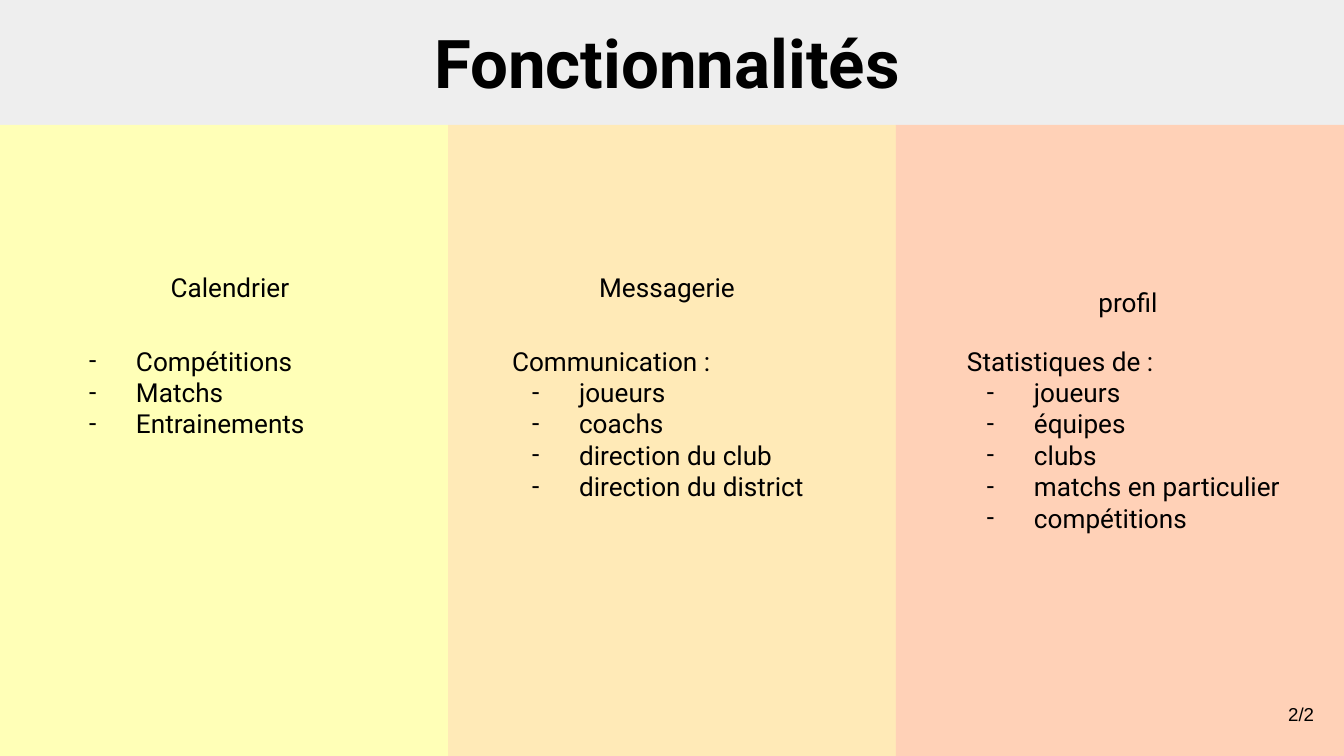
from dataclasses import dataclass
from lxml import etree
from pptx import Presentation
from pptx import util as u
from pptx.dml.color import RGBColor
from pptx.enum import shapes, text
from pptx.oxml.ns import qn


@dataclass(frozen=True)
class Theme:
    ink: str = "000000"
    header: str = "EEEEEE"
    columns: tuple = ("FFFFB7", "FFEAB7", "FFD1B7")
    font: str = "Roboto"
    number_font: str = "Arial"
    title_size: int = 36
    body_size: int = 14
    number_size: int = 10


theme = Theme()
WIDTH, HEIGHT, HEADER = 1344, 756, 125
INSET = 13


def px(length):
    return u.Emu(round(length * 914400 / 134.4))


def write(box, lines, at, size=theme.body_size, font=theme.font, bold=False,
          align=text.PP_ALIGN.LEFT, anchor=text.MSO_ANCHOR.TOP,
          fit=text.MSO_AUTO_SIZE.SHAPE_TO_FIT_TEXT):
    box.left, box.top, box.width, box.height = map(px, at)
    frame = box.text_frame
    frame.word_wrap = True
    frame.auto_size = fit
    frame.vertical_anchor = anchor
    frame.margin_left = frame.margin_right = px(INSET)
    frame.margin_top = frame.margin_bottom = px(INSET)
    for index, line in enumerate(lines):
        para = frame.add_paragraph() if index else frame.paragraphs[0]
        bulleted = line.startswith("- ")
        props = para._p.get_or_add_pPr()
        props.set("marL", str(px(67 if bulleted else 0)))
        props.set("indent", str(px(-47 if bulleted else 0)))
        if bulleted:
            color = etree.SubElement(props, qn("a:buClr"))
            etree.SubElement(color, qn("a:srgbClr"), val=theme.ink)
            etree.SubElement(props, qn("a:buFont"), typeface=font)
            etree.SubElement(props, qn("a:buChar"), char="-")
        else:
            etree.SubElement(props, qn("a:buNone"))
        para.alignment = align
        para.space_before = u.Pt(0)
        span = para.add_run()
        span.text = line.removeprefix("- ")
        span.font.name = font
        span.font.size = u.Pt(size)
        span.font.bold = bold
        span.font.color.rgb = RGBColor.from_string(theme.ink)


deck = Presentation()
deck.slide_width, deck.slide_height = px(WIDTH), px(HEIGHT)
page = deck.slides.add_slide(deck.slide_layouts.get_by_name("Comparison"))
title, *bodies = page.placeholders
spare = bodies.pop()
spare.element.getparent().remove(spare.element)

column_width = WIDTH // 3
panels = [(0, 0, WIDTH, HEADER, theme.header)]
for index, color in enumerate(theme.columns):
    panels.append((index * column_width, HEADER, column_width, HEIGHT - HEADER, color))

for layer, (left, top, width, height, color) in enumerate(panels):
    panel = page.shapes.add_shape(
        shapes.MSO_SHAPE.RECTANGLE, px(left), px(top), px(width), px(height))
    panel.shadow.inherit = False
    panel.fill.solid()
    panel.fill.fore_color.rgb = RGBColor.from_string(color)
    panel.line.fill.background()
    panel.element.getparent().insert(2 + layer, panel.element)

write(title, ["Fonctionnalités"], (-5, 8, WIDTH, 109), size=theme.title_size,
      bold=True, align=text.PP_ALIGN.CENTER)

features = [
    ("Calendrier", 90, 258, 56, 122,
     ["- Compétitions", "- Matchs", "- Entrainements"]),
    ("Messagerie", 527, 258, 499, 249,
     ["Communication :", "- joueurs", "- coachs", "- direction du club",
      "- direction du district"]),
    ("profil", 988, 273, 954, 249,
     ["Statistiques de :", "- joueurs", "- équipes", "- clubs",
      "- matchs en particulier", "- compétitions"]),
]
for body, (name, name_left, name_top, list_left, list_height, lines) in zip(bodies, features):
    heading = page.shapes.add_textbox(0, 0, 0, 0)
    write(heading, [name], (name_left, name_top, 280, 59), align=text.PP_ALIGN.CENTER)
    write(body, lines, (list_left, 332, 347, list_height))

number = page.shapes.add_textbox(0, 0, 0, 0)
write(number, ["2/2"], (1246, 685, 81, 58), size=theme.number_size,
      font=theme.number_font, align=text.PP_ALIGN.RIGHT,
      anchor=text.MSO_ANCHOR.MIDDLE, fit=text.MSO_AUTO_SIZE.NONE)

deck.save("out.pptx")
